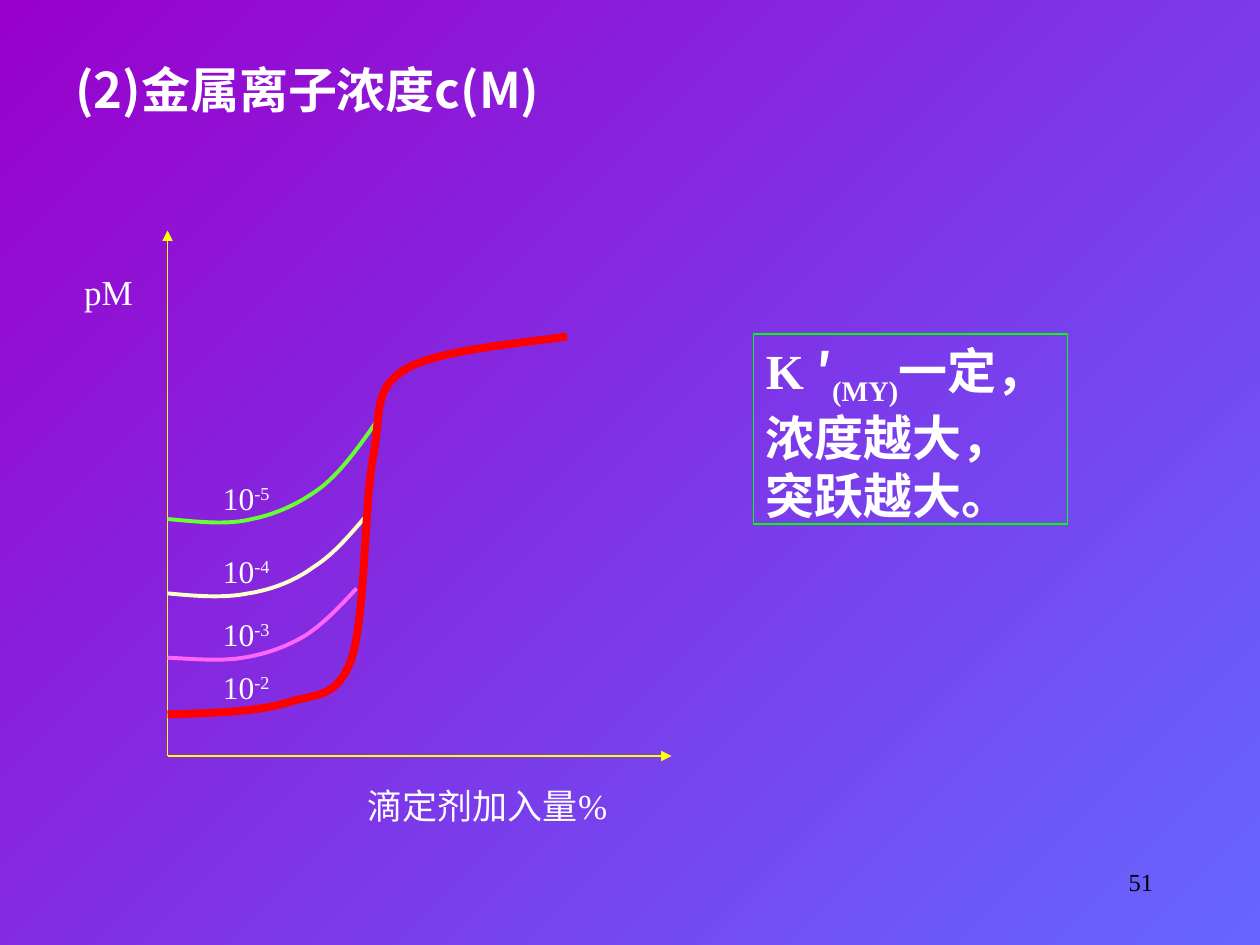
import pptx
import pptx.util
import pptx.dml.color
import pptx.enum.shapes
import pptx.enum.text
import pptx.oxml
import pptx.oxml.ns

PX = 9144
SERIF = "Times New Roman"
SANS = "Noto Sans CJK SC"
WHITE = "FFFFFF"


def color(value):
    return pptx.dml.color.RGBColor.from_string(value)


def px(*lengths):
    return [length * PX for length in lengths]


def add_xml(parent, tag, **attributes):
    element = pptx.oxml.parse_xml(f"<a:{tag} {pptx.oxml.ns.nsdecls('a')}/>")
    for name, value in attributes.items():
        element.set(name, value)
    parent.append(element)
    return element


def write(shape, paragraphs, size, value=WHITE, bold=False, wrap=False):
    text_frame = shape.text_frame
    text_frame.word_wrap = wrap
    text_frame.vertical_anchor = pptx.enum.text.MSO_ANCHOR.TOP
    for index, runs in enumerate(paragraphs):
        paragraph = text_frame.add_paragraph() if index else text_frame.paragraphs[0]
        paragraph.alignment = pptx.enum.text.PP_ALIGN.LEFT
        for text, font_name, baseline in runs:
            run = paragraph.add_run()
            run.text = text
            run.font.size = pptx.util.Pt(size)
            run.font.bold = bold
            run.font.color.rgb = color(value)
            run.font.name = font_name
            properties = run.font._element
            add_xml(properties, "ea", typeface=SANS)
            if baseline:
                properties.set("baseline", str(baseline * 1000))


def add_text(shapes, box, runs, size, **style):
    shape = shapes.add_textbox(*px(*box))
    write(shape, [runs], size, **style)
    return shape


def add_axis(shapes, start, end):
    axis = shapes.add_connector(
        pptx.enum.shapes.MSO_CONNECTOR.STRAIGHT, *px(*start, *end))
    axis.line.color.rgb = color("FFFF00")
    axis.line.width = pptx.util.Pt(0.75)
    add_xml(axis.line._get_or_add_ln(), "tailEnd", type="triangle")
    add_xml(axis._element.spPr, "effectLst")


def bend(shape):
    first_line = pptx.oxml.ns.qn("a:lnTo")
    lines = list(shape._element.iter(first_line))
    outline = lines[0].getparent()
    for index in range(0, len(lines), 3):
        bezier = add_xml(outline, "cubicBezTo")
        for line in lines[index:index + 3]:
            bezier.append(line[0])
            outline.remove(line)


def add_curve(shapes, left, top, points, value, width):
    places = [px(left + x, top + y) for x, y in points]
    builder = shapes.build_freeform(*places[0], scale=1.0)
    builder.add_line_segments(places[1:], close=False)
    curve = builder.convert_to_shape()
    bend(curve)
    curve.shadow.inherit = False
    curve.fill.background()
    curve.line.color.rgb = color(value)
    curve.line.width = pptx.util.Pt(width)


def add_titration_plot(slide, left, top, width, height):
    shapes = slide.shapes.add_group_shape().shapes
    origin = (left, top + height)
    add_axis(shapes, origin, (left + width, top + height))
    add_axis(shapes, origin, (left, top))
    add_text(shapes, (left + 149, top + 435, 210, 43),
             [("滴定剂加入量%", SERIF, 0)], 20, wrap=True)
    add_text(shapes, (left - 76, top + 27, 59, 43), [("pM", SERIF, 0)], 20)

    curves = [
        ([(0, 339), (21, 340), (42, 342), (60, 339), (79, 336), (95, 330),
          (110, 321), (125, 311), (138, 297), (150, 284)], "FF66FF", 2.25),
        ([(0, 288), (22, 290), (44, 292), (64, 288), (83, 285), (101, 278),
          (116, 267), (132, 257), (145, 241), (159, 225)], "FFFFCC", 2.25),
        ([(0, 229), (23, 231), (47, 234), (67, 229), (87, 225), (106, 216),
          (123, 203), (139, 190), (153, 170), (167, 150)], "66FF33", 2.25),
        ([(0, 384), (35, 383), (70, 382), (94, 375), (119, 367), (134, 372),
          (146, 340), (157, 307), (156, 219), (163, 181), (170, 142), (163, 126),
          (189, 110), (214, 94), (296, 88), (317, 84)], "FF0000", 4.5),
    ]
    for points, value, line_width in curves:
        add_curve(shapes, left, top, points, value, line_width)

    for exponent, offset in (("-2", 342), ("-3", 300), ("-4", 250), ("-5", 192)):
        add_text(shapes, (left + 34, top + offset, 59, 40),
                 [("10", SERIF, 0), (exponent, SERIF, 30)], 18)


def add_conclusion(slide, *box):
    shape = slide.shapes.add_shape(
        pptx.enum.shapes.MSO_SHAPE.RECTANGLE, *px(*box))
    shape.shadow.inherit = False
    shape.fill.background()
    shape.line.color.rgb = color("00FF00")
    shape.line.width = pptx.util.Pt(0.75)
    write(shape, [
        [("K ", SERIF, 0), ("′", SANS, 0), ("(MY)", SERIF, -25), ("一定，", SERIF, 0)],
        [("浓度越大，", SERIF, 0)],
        [("突跃越大。", SERIF, 0)],
    ], 28, bold=True)


def add_background(slide):
    fill = slide.background.fill
    fill.gradient()
    fill.gradient_angle = 315
    for stop, position, value in zip(fill.gradient_stops, (0, 1), ("9900CC", "6666FF")):
        stop.position = position
        stop.color.rgb = color(value)


def main():
    presentation = pptx.Presentation()
    presentation.slide_width, presentation.slide_height = px(1000, 750)
    slide = presentation.slides.add_slide(presentation.slide_layouts[6])
    add_background(slide)
    add_text(slide.shapes, (50, 42, 394, 57),
             [("(2)金属离子浓度c(M)", SANS, 0)], 28, bold=True, wrap=True)
    add_titration_plot(slide, 133, 183, 400, 417)
    add_conclusion(slide, 598, 265, 249, 151)
    number = add_text(slide.shapes, (717, 683, 208, 50),
                      [("51", SERIF, 0)], 14, value="000000", wrap=True)
    number.text_frame.paragraphs[0].alignment = pptx.enum.text.PP_ALIGN.RIGHT
    presentation.save("out.pptx")


if __name__ == "__main__":
    main()
